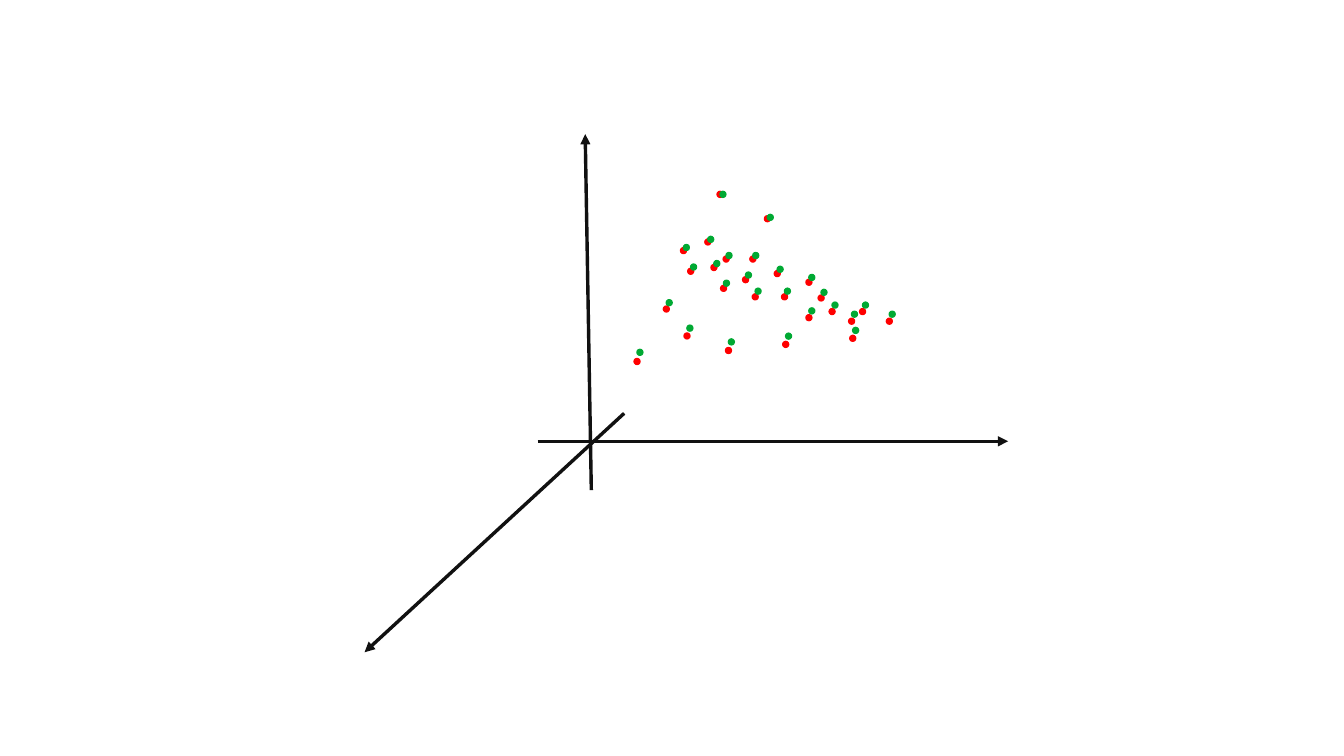
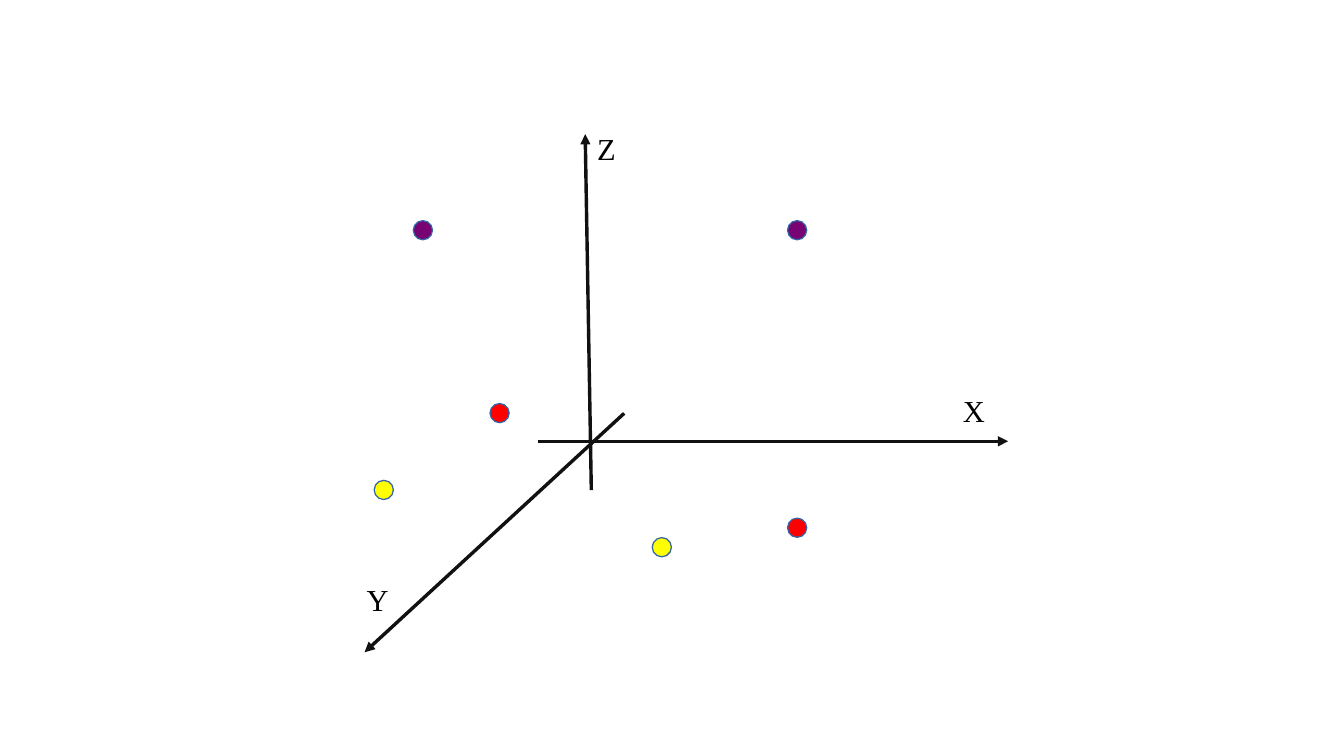
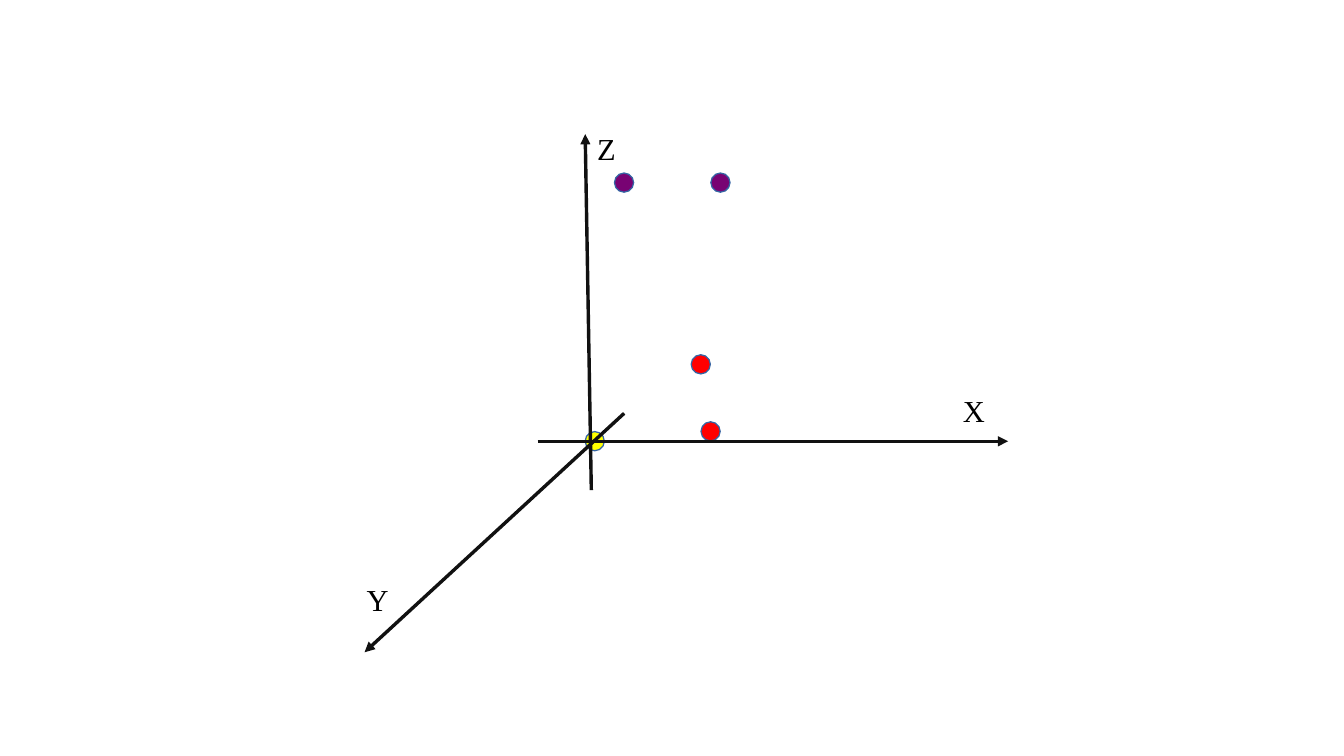
from dataclasses import dataclass

from lxml.etree import SubElement
from pptx import Presentation
from pptx.dml.color import RGBColor
from pptx.enum.shapes import MSO_CONNECTOR, MSO_SHAPE
from pptx.enum.text import MSO_AUTO_SIZE
from pptx.oxml.ns import qn
from pptx.util import Pt


@dataclass(frozen=True)
class Theme:
    axis: str = "111111"
    text: str = "000000"
    outline: str = "3465A4"
    red: str = "FF0000"
    green: str = "00A933"
    yellow: str = "FFFF00"
    purple: str = "780373"
    font: str = "Times New Roman"
    label_size: float = 18
    hairline: float = 0
    point_size: float = 3.6
    marker_size: float = 11.34


theme = Theme()


def add_text(slide, text, left, top, width=141.8, height=32.4,
             size=theme.label_size, color=theme.text, font=theme.font):
    box = slide.shapes.add_textbox(Pt(left), Pt(top), Pt(width), Pt(height))
    frame = box.text_frame
    frame.word_wrap = True
    frame.auto_size = MSO_AUTO_SIZE.SHAPE_TO_FIT_TEXT
    run = frame.paragraphs[0].add_run()
    run.text = text
    run.font.name = font
    run.font.size = Pt(size)
    run.font.color.rgb = RGBColor.from_string(color)


def add_dot(slide, left, top, size, fill, outline):
    shape = slide.shapes.add_shape(MSO_SHAPE.OVAL, Pt(left), Pt(top), Pt(size), Pt(size))
    shape.shadow.inherit = False
    shape.fill.solid()
    shape.fill.fore_color.rgb = RGBColor.from_string(fill)
    shape.line.color.rgb = RGBColor.from_string(outline)
    shape.line.width = Pt(theme.hairline)


# Axes: start and arrow tip; labels: left and top
axes = [
    (317.5, 260.6, 595.4, 260.6),
    (349.2, 289.4, 345.6, 79.2),
    (368.6, 244.1, 215.3, 385.2),
]
axis_labels = {"X": (561.6, 228.2), "Z": (345.6, 73.4), "Y": (209.5, 339.8)}

# Point cloud: each green point is its red point shifted right and up,
# rising in proportion to its distance below the top of the cloud
red_points = [
    (401.8, 146.2), (419.8, 156.2), (438.5, 163.4), (461.5, 173.5), (489.6, 182.2),
    (501.8, 198), (507.6, 182.2), (475.9, 185.8), (475.9, 164.9), (444.2, 173.5),
    (442.8, 151.2), (427, 151.2), (391.7, 180.7), (403.9, 196.6), (428.4, 205.2),
    (462.2, 201.6), (423.4, 113), (451.4, 127.4), (374.4, 211.7), (406.1, 158.4),
    (425.5, 168.5), (416.2, 141.1), (457.2, 159.8), (501.1, 187.9), (483.1, 174.2),
    (523.4, 187.9),
]
cloud_top = 113
shift_right = 1.7
rise_rate = 0.055
green_points = [(left + shift_right, top - rise_rate * (top - cloud_top))
                for left, top in red_points]
cloud = [(left, top, theme.point_size, color, color)
         for points, color in ((red_points, theme.red), (green_points, theme.green))
         for left, top in points]

# Large markers on the two labelled slides
marker_sets = [
    [
        (221, 283.7, theme.yellow), (385.2, 317.5, theme.yellow),
        (465.1, 306, theme.red), (244.1, 130.3, theme.purple),
        (289.4, 238.3, theme.red), (465.1, 130.3, theme.purple),
    ],
    [
        (345.6, 254.9, theme.yellow), (414, 249.1, theme.red),
        (362.9, 102.2, theme.purple), (408.2, 209.5, theme.red),
        (419.8, 102.2, theme.purple),
    ],
]
marker_dots = [[(left, top, theme.marker_size, fill, theme.outline)
                for left, top, fill in markers] for markers in marker_sets]

# Dots and axis labels of each slide
slide_contents = [(cloud, {})] + [(dots, axis_labels) for dots in marker_dots]

presentation = Presentation()
presentation.slide_width = Pt(793.7)
presentation.slide_height = Pt(446.46)
blank_layout = presentation.slide_layouts[6]

for dots, labels in slide_contents:
    slide = presentation.slides.add_slide(blank_layout)

    # Dots lie behind the axes
    for dot in dots:
        add_dot(slide, *dot)

    # Axes with arrow tips
    for ends in axes:
        connector = slide.shapes.add_connector(
            MSO_CONNECTOR.STRAIGHT, *(Pt(value) for value in ends))
        connector.line.color.rgb = RGBColor.from_string(theme.axis)
        connector.line.width = Pt(theme.hairline)
        properties = connector.element.spPr
        SubElement(properties.find(qn("a:ln")), qn("a:tailEnd"), type="triangle")
        SubElement(properties, qn("a:effectLst"))

    # Axis labels
    for name, (left, top) in labels.items():
        add_text(slide, name, left, top)

presentation.save("out.pptx")
